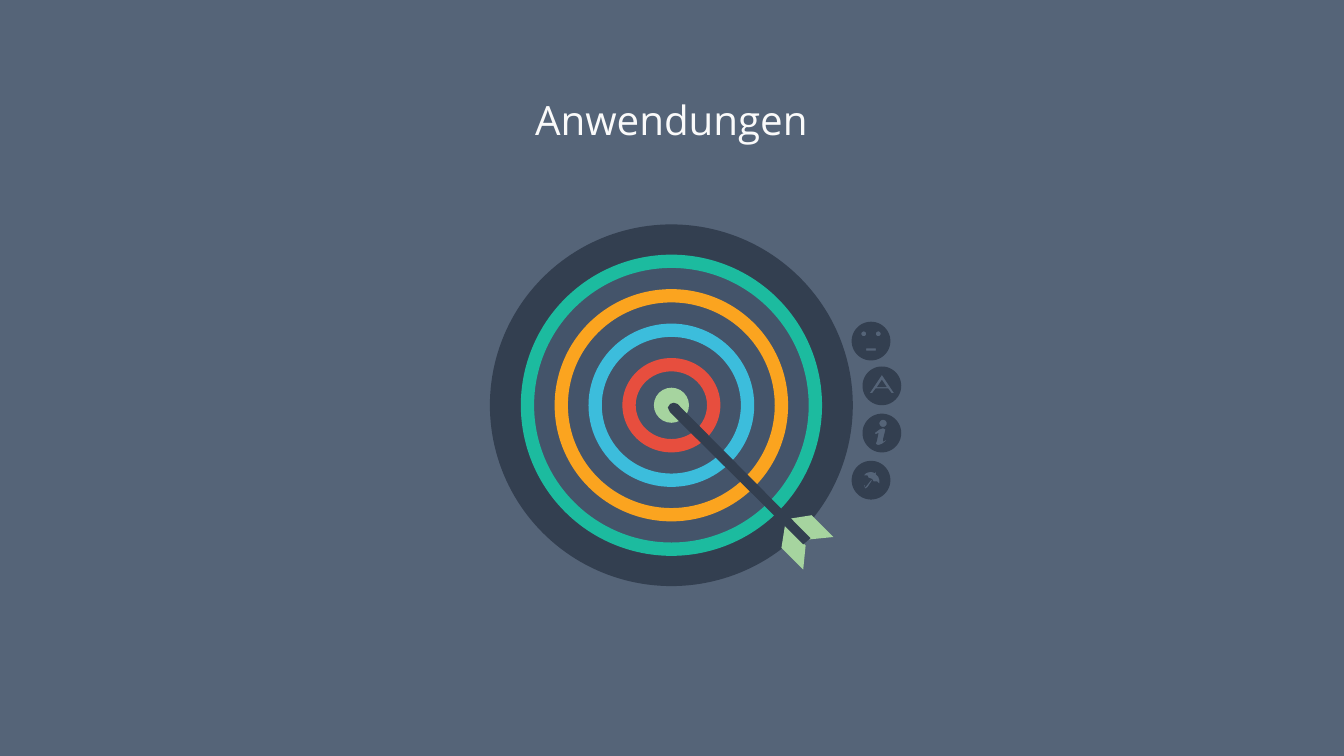
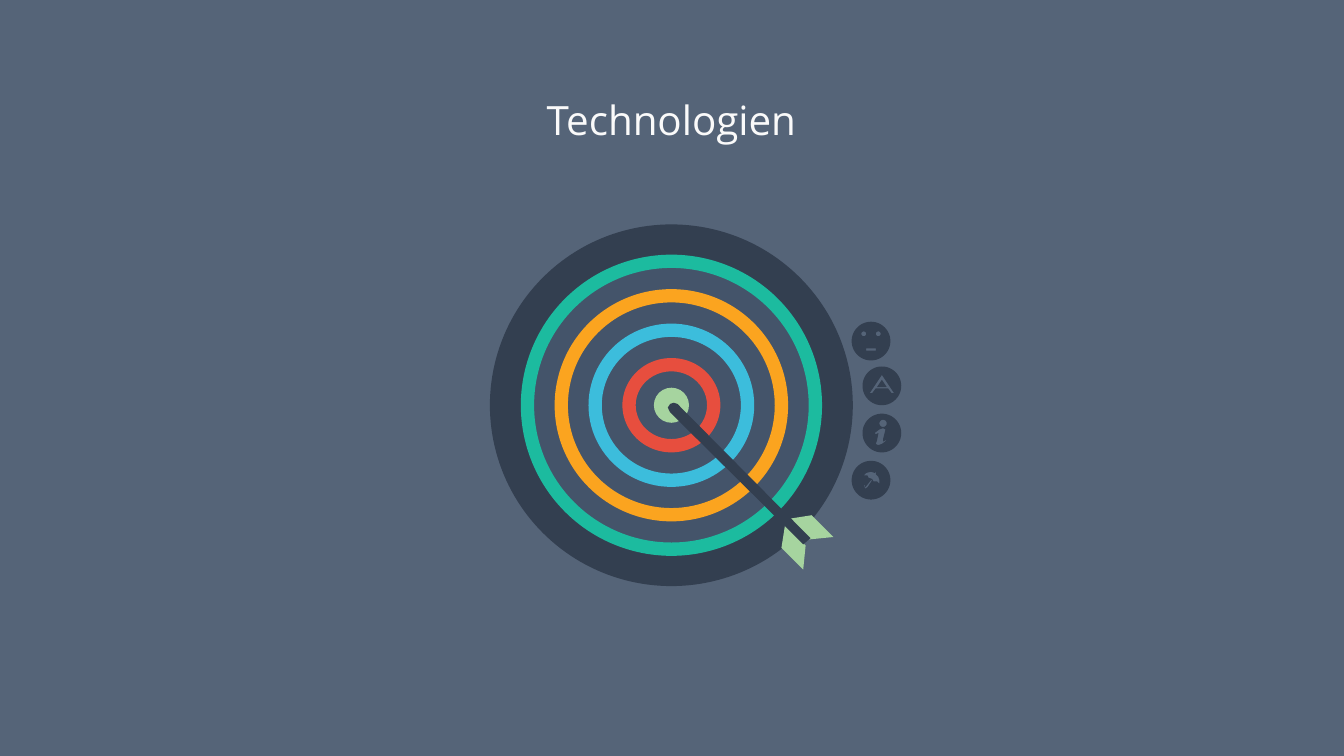
import math
from dataclasses import dataclass

import pptx
import pptx.dml.color
import pptx.enum.shapes
import pptx.enum.text
import pptx.oxml.ns
import pptx.util
from lxml import etree

Inches = pptx.util.Inches
SHAPE = pptx.enum.shapes.MSO_SHAPE


@dataclass(frozen=True)
class Theme:
    paper: str = "FAFAFA"
    slate: str = "44546A"
    dark: str = "333F50"
    green: str = "A6D49F"
    rings: tuple = ("1CBB9F", "FBA41F", "3CBDDC", "E74E3E")
    font: str = "Open Sans"
    title_size: int = 24
    veil_opacity: int = 90


THEME = Theme()
WIDTH, HEIGHT = 11.11, 6.25
TITLES = ("Anwendungen", "Technologien")

CENTER = (5.55, 3.35)
RING_SIZE = 2.49
RING_STEP = (0.56, 0.57)
RING_THICKNESS = 0.11

FEATHERS = (
    [(6.49, 4.34), (6.46, 4.53), (6.64, 4.71), (6.66, 4.51)],
    [(6.52, 4.29), (6.71, 4.26), (6.89, 4.44), (6.69, 4.46)],
)
SHAFT = [(6.64, 4.5), (6.7, 4.45), (5.6, 3.34), (5.57, 3.33),
         (5.54, 3.34), (5.52, 3.37), (5.54, 3.41)]


def circle(x, y, radius, steps=72):
    angles = [2 * math.pi * i / steps for i in range(steps)]
    return [(x + radius * math.cos(a), y + radius * math.sin(a)) for a in angles]


BADGE_RADIUS = 0.16
# Each badge: its centre, then the cut-outs measured from that centre
BADGES = {
    "face": ((7.2, 2.82), (
        circle(-0.06, -0.06, 0.02),
        circle(0.06, -0.06, 0.02),
        [(-0.04, 0.06), (0.04, 0.06), (0.04, 0.08), (-0.04, 0.08)],
    )),
    "letter": ((7.29, 3.19), (
        [(-0.1, 0.06), (-0.08, 0.06), (-0.05, 0.02), (0.05, 0.02),
         (0.08, 0.06), (0.1, 0.06), (0, -0.09)],
        [(-0.04, 0.01), (0, -0.05), (0.04, 0.01)],
    )),
    "info": ((7.29, 3.58), (
        circle(0.01, -0.08, 0.03),
        [(-0.03, 0.1), (-0.05, 0.09), (-0.04, 0.06), (-0.03, 0.01), (-0.03, 0),
         (-0.05, 0.01), (-0.06, 0), (-0.02, -0.03), (0.01, -0.04), (0.03, -0.03),
         (0.01, 0.05), (0.01, 0.07), (0.03, 0.06), (0.04, 0.06), (0, 0.09)],
    )),
    "umbrella": ((7.2, 3.97), (
        [(-0.06, -0.04), (-0.04, -0.06), (0, -0.07), (0.03, -0.06), (0.04, -0.07),
         (0.04, -0.05), (0.06, -0.03), (0.07, 0), (0.07, 0.03), (0.05, 0.01),
         (0.02, 0.01), (0.01, -0.01), (-0.02, -0.02), (-0.03, -0.04)],
        [(0.01, 0), (-0.03, 0.06), (-0.05, 0.07), (-0.06, 0.04), (-0.05, 0.04),
         (-0.05, 0.06), (-0.04, 0.05), (0, 0)],
    )),
}


def rgb(color):
    return pptx.dml.color.RGBColor.from_string(color)


def paint(sp, color):
    sp.shadow.inherit = False
    sp.fill.solid()
    sp.fill.fore_color.rgb = rgb(color)
    sp.line.fill.background()
    return sp


def centered_shape(s, kind, width, height, color):
    """Add a preset shape around the middle of the target."""
    x, y = CENTER
    sp = s.shapes.add_shape(kind, Inches(x - width / 2), Inches(y - height / 2),
                            Inches(width), Inches(height))
    return paint(sp, color)


def outline(s, contours, color):
    """Draw closed contours as one shape; inner contours become holes."""
    first, *others = [[(Inches(x), Inches(y)) for x, y in c] for c in contours]
    builder = s.shapes.build_freeform(*first[0], scale=1.0)
    builder.add_line_segments(first[1:], close=True)
    for contour in others:
        builder.move_to(*contour[0])
        builder.add_line_segments(contour[1:], close=True)
    return paint(builder.convert_to_shape(), color)


def add_veil(s):
    """Cover the slide with a translucent colour, behind the title."""
    sp = s.shapes.add_shape(SHAPE.RECTANGLE, 0, 0, Inches(WIDTH), Inches(HEIGHT))
    paint(sp, THEME.slate)
    color = sp.element.spPr.find(".//" + pptx.oxml.ns.qn("a:srgbClr"))
    etree.SubElement(color, pptx.oxml.ns.qn("a:alpha"),
                     val=str(THEME.veil_opacity * 1000))
    s.shapes.title.element.addprevious(sp.element)


def set_title(s, text):
    tf = s.shapes.title.text_frame
    tf.text = text
    tf.word_wrap = True
    tf.vertical_anchor = pptx.enum.text.MSO_ANCHOR.MIDDLE
    p = tf.paragraphs[0]
    p.alignment = pptx.enum.text.PP_ALIGN.CENTER
    p.line_spacing = 0.9
    font = p.runs[0].font
    font.name = THEME.font
    font.size = pptx.util.Pt(THEME.title_size)
    font.color.rgb = rgb(THEME.paper)


def add_target(s):
    centered_shape(s, SHAPE.OVAL, 3, 2.99, THEME.dark)
    centered_shape(s, SHAPE.OVAL, 2.38, 2.38, THEME.slate)
    for i, color in enumerate(THEME.rings):
        width, height = (RING_SIZE - i * step for step in RING_STEP)
        ring = centered_shape(s, SHAPE.DONUT, width, height, color)
        ring.adjustments[0] = RING_THICKNESS / min(width, height)
    centered_shape(s, SHAPE.OVAL, 0.29, 0.29, THEME.green)


def add_arrow(s):
    for feather in FEATHERS:
        outline(s, [feather], THEME.green)
    outline(s, [SHAFT], THEME.dark)


def add_badges(s):
    for (x, y), cutouts in BADGES.values():
        holes = [[(x + dx, y + dy) for dx, dy in c] for c in cutouts]
        outline(s, [circle(x, y, BADGE_RADIUS), *holes], THEME.dark)


def set_up_layout(prs):
    """Set the shared background and title position; return the layout."""
    fill = prs.slide_master.background.fill
    fill.solid()
    fill.fore_color.rgb = rgb(THEME.paper)
    layout = prs.slide_layouts.get_by_name("Title Only")
    title = layout.placeholders[0]
    title.left, title.top = Inches(1.24), Inches(0.78)
    title.width, title.height = Inches(8.62), Inches(0.47)
    return layout


def main():
    prs = pptx.Presentation()
    prs.slide_width, prs.slide_height = Inches(WIDTH), Inches(HEIGHT)
    layout = set_up_layout(prs)
    for text in TITLES:
        s = prs.slides.add_slide(layout)
        set_title(s, text)
        add_veil(s)
        add_target(s)
        add_arrow(s)
        add_badges(s)
    prs.save("out.pptx")


if __name__ == "__main__":
    main()
